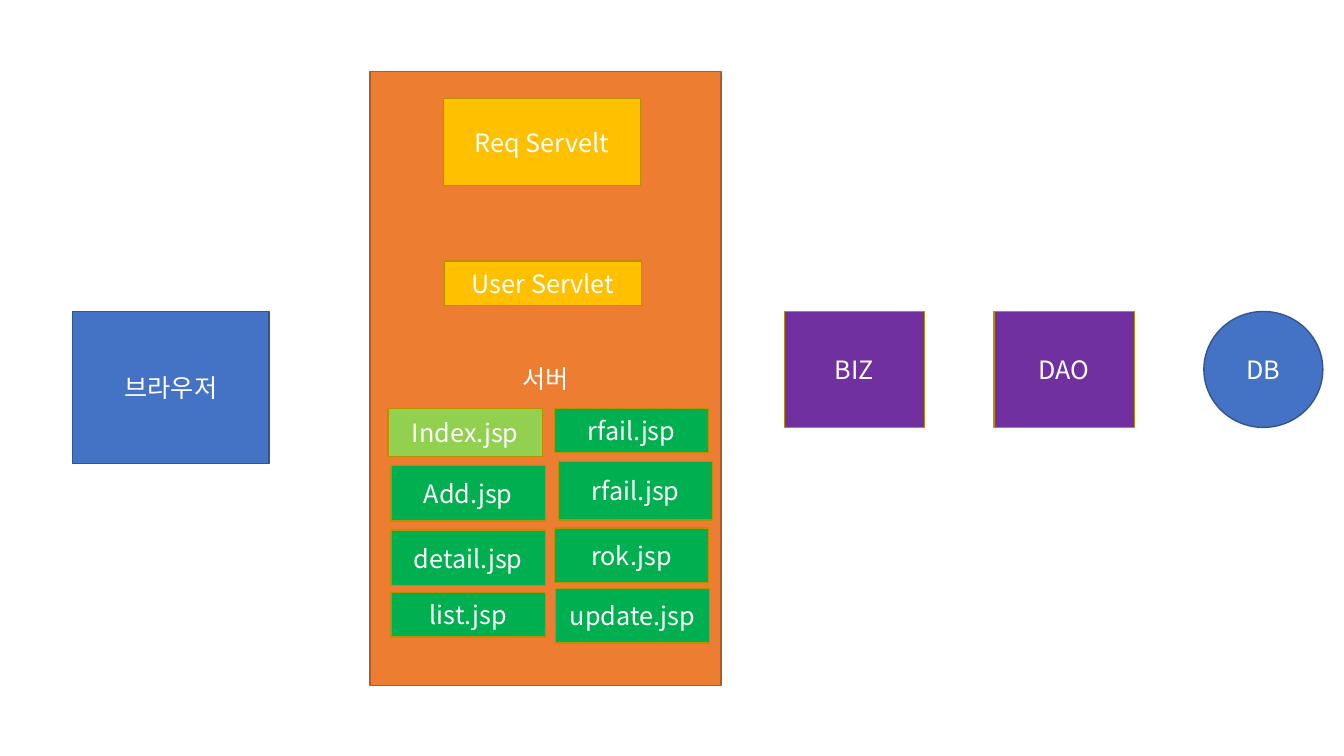
from lxml import etree
from pptx import Presentation
from pptx.dml.color import RGBColor
from pptx.enum.shapes import MSO_SHAPE
from pptx.enum.text import MSO_ANCHOR, PP_ALIGN
from pptx.oxml.ns import qn
from pptx.util import Inches, Pt

RECT, OVAL = MSO_SHAPE.RECTANGLE, MSO_SHAPE.OVAL
MIDDLE, CENTER = MSO_ANCHOR.MIDDLE, PP_ALIGN.CENTER
FONT = "Noto Sans CJK KR"
BLUE, NAVY = "4472C4", "325491"
ORANGE, BROWN = "ED7D31", "AF5C24"
AMBER, GOLD = "FFC000", "BD8E00"
GREEN, LIME, PURPLE = "00B050", "92D050", "7030A0"


def color(code):
    return RGBColor.from_string(code)


def box(text, left, top, width, height, fill, edge=GOLD, kind=RECT):
    shape = slide.shapes.add_shape(
        kind, Inches(left), Inches(top), Inches(width), Inches(height))
    shape.shadow.inherit = False
    shape.fill.solid()
    shape.fill.fore_color.rgb = color(fill)
    shape.line.color.rgb = color(edge)
    shape.line.width = Pt(1)
    frame = shape.text_frame
    frame.text = text
    frame.word_wrap = True
    frame.vertical_anchor = MIDDLE
    para = frame.paragraphs[0]
    para.alignment = CENTER
    font = para.font
    font.name = FONT
    font.size = Pt(18)
    font.color.rgb = color("FFFFFF")
    props = para._p.pPr.find(qn("a:defRPr"))
    etree.SubElement(props, qn("a:ea"), typeface=FONT)


deck = Presentation()
deck.slide_width, deck.slide_height = Inches(13.33), Inches(7.5)
slide = deck.slides.add_slide(deck.slide_layouts[6])

row = 3.09
box("브라우저", 0.72, row, 1.95, 1.51, BLUE, NAVY)
box("서버", 3.67, 0.71, 3.48, 6.09, ORANGE, BROWN)
box("Req Servelt", 4.4, 0.98, 1.95, 0.86, AMBER)
box("User Servlet", 4.41, 2.59, 1.95, 0.44, AMBER)

pages = [
    ("Index.jsp", 3.85, 4.05, 0.48, LIME),
    ("Add.jsp", 3.88, 4.62, 0.55, GREEN),
    ("detail.jsp", 3.88, 5.26, 0.55, GREEN),
    ("list.jsp", 3.88, 5.88, 0.44, GREEN),
    ("rfail.jsp", 5.5, 4.05, 0.44, GREEN),
    ("rfail.jsp", 5.54, 4.58, 0.58, GREEN),
    ("rok.jsp", 5.5, 5.24, 0.54, GREEN),
    ("update.jsp", 5.51, 5.84, 0.54, GREEN),
]
for text, left, top, height, fill in pages:
    box(text, left, top, 1.53, height, fill)

start, step = 7.78, 2.08
for i, text in enumerate(("BIZ", "DAO")):
    box(text, start + i * step, row, 1.39, 1.15, PURPLE)
box("DB", start + 2 * step, row, 1.18, 1.15, BLUE, NAVY, OVAL)

deck.save("out.pptx")
